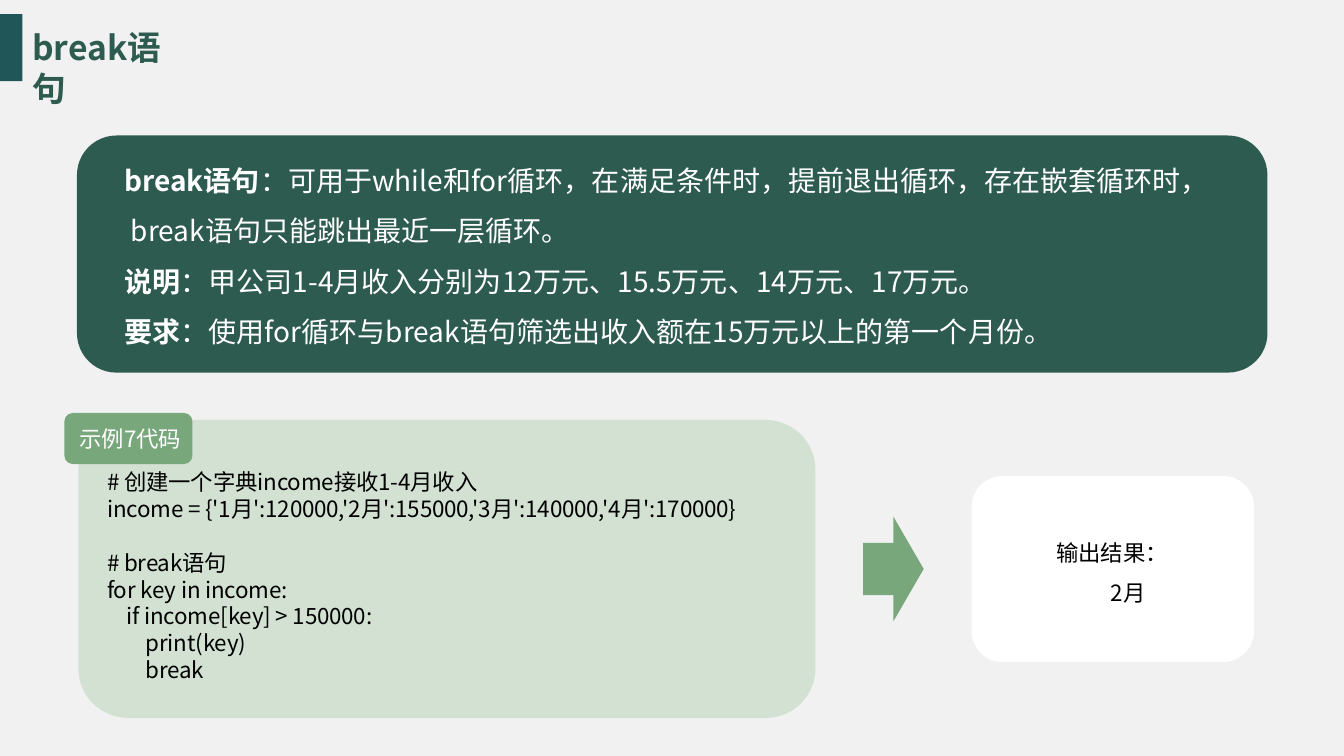
from lxml.etree import SubElement
from pptx import Presentation
from pptx.dml.color import RGBColor
from pptx.enum.shapes import MSO_SHAPE
from pptx.enum.text import MSO_ANCHOR, MSO_AUTO_SIZE, PP_ALIGN
from pptx.oxml.ns import qn
from pptx.util import Pt

FONT = "Noto Sans CJK SC"
DARK_GREEN, MID_GREEN, PALE_GREEN = "2E5B50", "78A77B", "D2E1D2"
TEAL, GREY, WHITE, BLACK = "205657", "F1F1F1", "FFFFFF", "000000"

EXPLANATION = [
    ("break语句", "：可用于while和for循环，在满足条件时，提前退出循环，"
     "存在嵌套循环时， break语句只能跳出最近一层循环。"),
    ("说明", "：甲公司1-4月收入分别为12万元、15.5万元、14万元、17万元。"),
    ("要求", "：使用for循环与break语句筛选出收入额在15万元以上的第一个月份。"),
]
CODE = [
    "# 创建一个字典income接收1-4月收入",
    "income = {'1月':120000,'2月':155000,'3月':140000,'4月':170000}",
    "# break语句",
    "for key in income:",
    "    if income[key] > 150000:",
    "        print(key)",
    "        break",
]


def rgb(value):
    return RGBColor.from_string(value)


def set_values(target, values):
    for name, value in values.items():
        setattr(target, name, value)


def style_run(run, size, color, bold=False, tracking=0):
    """Format a run; tracking is in hundredths of a point."""
    set_values(run.font, {"size": Pt(size), "bold": bold, "name": FONT})
    run.font.color.rgb = rgb(color)
    properties = run.font._element
    SubElement(properties, qn("a:ea")).set("typeface", FONT)
    if tracking:
        properties.set("spc", str(tracking))


def prepare_frame(frame, wrap=True, anchor=MSO_ANCHOR.TOP, left=0):
    set_values(frame, {
        "margin_left": Pt(left), "margin_right": 0,
        "margin_top": 0, "margin_bottom": 0,
        "word_wrap": wrap, "auto_size": MSO_AUTO_SIZE.NONE,
        "vertical_anchor": anchor,
    })


def write(frame, lines, size, color, leading, **look):
    """Write each line, a list of (text, bold) pairs, as a paragraph."""
    for index, pieces in enumerate(lines):
        paragraph = frame.paragraphs[0] if index == 0 else frame.add_paragraph()
        set_values(paragraph, {
            "alignment": PP_ALIGN.LEFT, "line_spacing": Pt(leading),
            "space_before": Pt(0),
        })
        for text, bold in pieces:
            run = paragraph.add_run()
            run.text = text
            style_run(run, size, color, bold, **look)
    return frame.paragraphs


def add_panel(slide, kind, box, color):
    panel = slide.shapes.add_shape(kind, *map(Pt, box))
    panel.shadow.inherit = False
    panel.fill.solid()
    panel.fill.fore_color.rgb = rgb(color)
    panel.line.fill.background()
    return panel


def add_text(slide, box, lines, size, color, leading, wrap=True, **look):
    frame = slide.shapes.add_textbox(*map(Pt, box)).text_frame
    prepare_frame(frame, wrap)
    return write(frame, lines, size, color, leading, **look)


def place_title(slide, text):
    title = slide.shapes.title
    set_values(title, dict(zip(("left", "top", "width", "height"),
                               map(Pt, (23, 19, 111, 31)))))
    prepare_frame(title.text_frame)
    write(title.text_frame, [[(text, True)]], 24, DARK_GREEN, 29)


def add_explanation(slide):
    add_panel(slide, MSO_SHAPE.ROUNDED_RECTANGLE, (55, 96.8, 850.4, 169.4),
              DARK_GREEN)
    lines = [[(term, True), (detail, False)] for term, detail in EXPLANATION]
    paragraphs = add_text(slide, (89, 104.7, 772.5, 146), lines, 20, WHITE, 36)
    for paragraph in paragraphs[1:]:
        set_values(paragraph, {"line_spacing": Pt(24), "space_before": Pt(12)})


def add_code(slide):
    add_panel(slide, MSO_SHAPE.ROUNDED_RECTANGLE, (56, 300, 526.5, 212.8),
              PALE_GREEN)
    tab = add_panel(slide, MSO_SHAPE.ROUNDED_RECTANGLE, (46, 295, 91.5, 36.5),
                    MID_GREEN)
    prepare_frame(tab.text_frame, False, MSO_ANCHOR.MIDDLE, 9)
    write(tab.text_frame, [[("示例7代码", False)]], 16, WHITE, 19.2)
    lines = [[(line, False)] for line in CODE]
    paragraphs = add_text(slide, (76.5, 334.5, 500, 155), lines, 16, BLACK,
                          19.2, wrap=False, tracking=-10)
    paragraphs[2].space_before = Pt(19.2)


def add_output(slide):
    add_panel(slide, MSO_SHAPE.RIGHT_ARROW, (616.5, 369, 43.3, 74.8), MID_GREEN)
    add_panel(slide, MSO_SHAPE.ROUNDED_RECTANGLE, (694, 340, 201.8, 133),
              WHITE)
    lines = [[("输出结果：", False)], [("2月", False)]]
    paragraphs = add_text(slide, (754.5, 375.5, 85, 60), lines, 16, BLACK, 28.8)
    paragraphs[1]._p.get_or_add_pPr().set("marL", str(Pt(39)))


def main():
    deck = Presentation()
    set_values(deck, {"slide_width": Pt(960), "slide_height": Pt(540)})
    slide = deck.slides.add_slide(deck.slide_layouts.get_by_name("Title Only"))
    slide.background.fill.solid()
    slide.background.fill.fore_color.rgb = rgb(GREY)
    add_panel(slide, MSO_SHAPE.RECTANGLE, (0, 10, 16, 48), TEAL)
    place_title(slide, "break语句")
    add_explanation(slide)
    add_code(slide)
    add_output(slide)
    deck.save("out.pptx")


if __name__ == "__main__":
    main()
